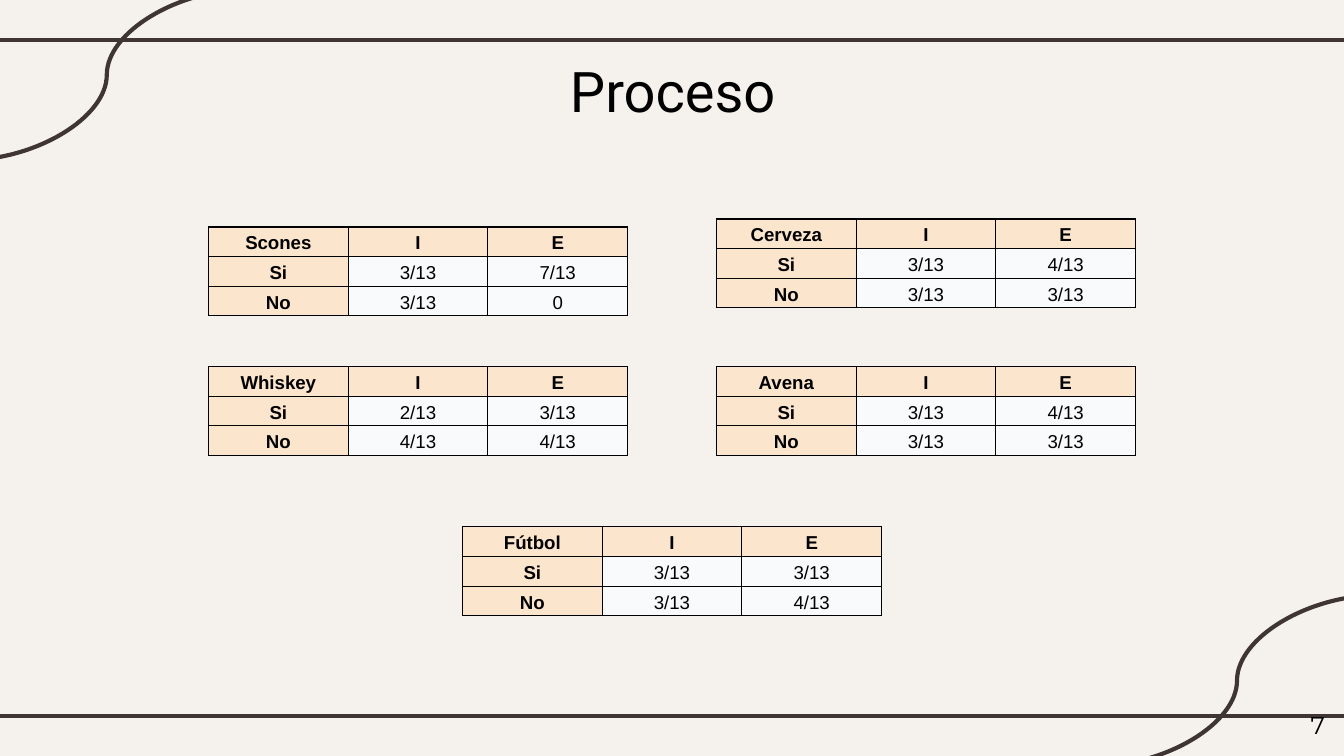
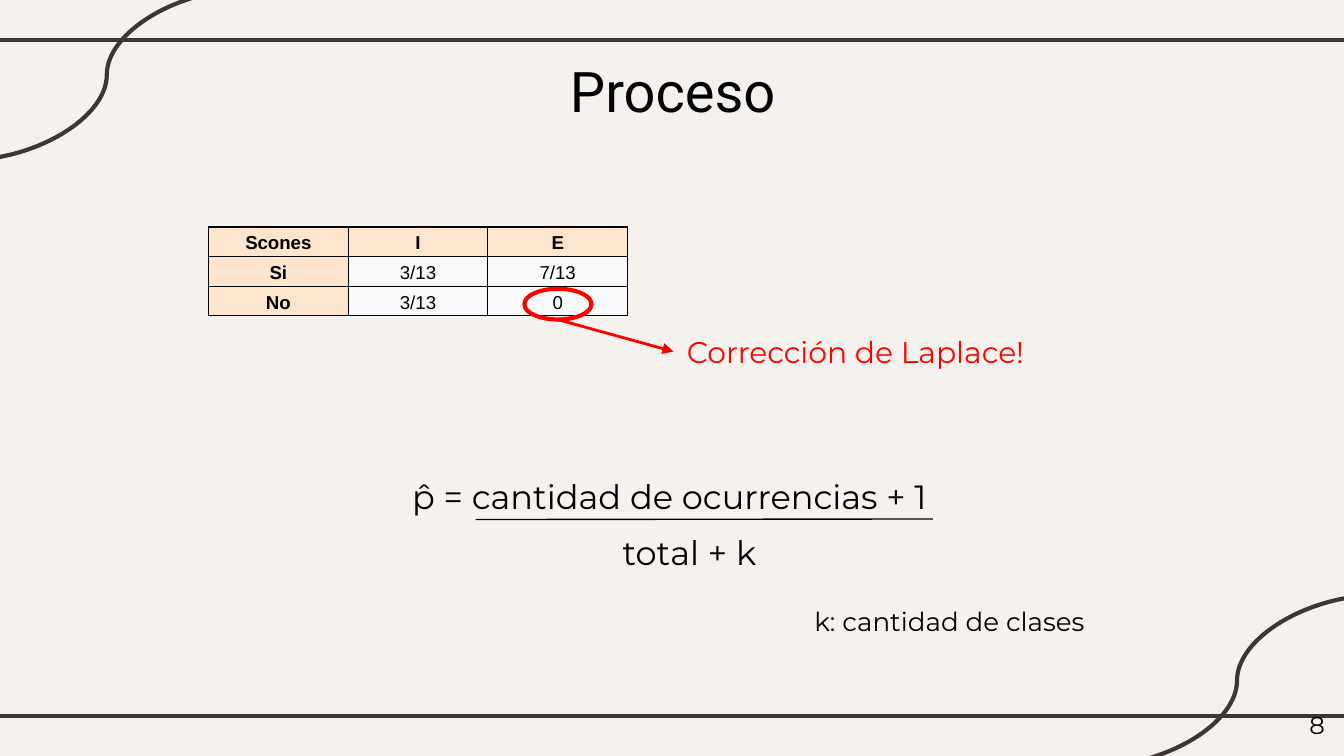
from lxml.etree import SubElement
from pptx import Presentation
from pptx.dml.color import RGBColor
from pptx.enum.shapes import MSO_CONNECTOR, MSO_SHAPE
from pptx.enum.text import MSO_ANCHOR, MSO_AUTO_SIZE, PP_ALIGN
from pptx.oxml.ns import qn
from pptx.util import Cm, Pt

BACKGROUND = RGBColor(0xF5, 0xF2, 0xEE)
BROWN = RGBColor(0x3F, 0x35, 0x33)
BLACK = RGBColor(0, 0, 0)
RED = RGBColor(0xFF, 0, 0)
PEACH = RGBColor(0xFC, 0xE5, 0xCD)
PALE = RGBColor(0xF8, 0xFA, 0xFB)

LEFT, CENTER, RIGHT = PP_ALIGN.LEFT, PP_ALIGN.CENTER, PP_ALIGN.RIGHT
COLUMN_X = (3.94, 13.54)
COL_WIDTH, ROW_HEIGHT = 2.64, 0.56
BOX_INSETS = dict.fromkeys(("left", "right", "top", "bottom"), Cm(0.25))
CELL_INSETS = {"left": Cm(0.08), "right": Cm(0.08),
               "top": Cm(0.05), "bottom": Cm(0.05)}

SCONES = ("Scones", ("3/13", "7/13"), ("3/13", "0"))
CERVEZA = ("Cerveza", ("3/13", "4/13"), ("3/13", "3/13"))
WHISKEY = ("Whiskey", ("2/13", "3/13"), ("4/13", "4/13"))
AVENA = ("Avena", ("3/13", "4/13"), ("3/13", "3/13"))
FUTBOL = ("Fútbol", ("3/13", "3/13"), ("3/13", "4/13"))
SCONES_Y = 4.29


def set_all(target, values):
    """Set every attribute named in a dict of values."""
    for name, value in values.items():
        setattr(target, name, value)


def set_insets(target, insets):
    """Set the four margins of a text frame or a cell."""
    set_all(target, {f"margin_{side}": size for side, size in insets.items()})


def write(p, text, color=BLACK, align=LEFT, **font):
    """Write one formatted run into a paragraph."""
    p.alignment = align
    r = p.add_run()
    r.text = text
    set_all(r.font, font)
    r.font.color.rgb = color


def add_text(s, text, x, y, w, h, size, color=BLACK, align=LEFT,
             name="Montserrat", anchor=MSO_ANCHOR.TOP):
    """Add a one-line text box."""
    sp = s.shapes.add_textbox(Cm(x), Cm(y), Cm(w), Cm(h))
    tf = sp.text_frame
    set_all(tf, {"word_wrap": True, "auto_size": MSO_AUTO_SIZE.NONE,
                 "vertical_anchor": anchor})
    set_insets(tf, BOX_INSETS)
    write(tf.paragraphs[0], text, color, align, size=Pt(size), name=name)
    return sp


def add_line(s, x1, y1, x2, y2, color, width, kind=MSO_CONNECTOR.STRAIGHT):
    """Add a connector without a shadow."""
    line = s.shapes.add_connector(kind, Cm(x1), Cm(y1), Cm(x2), Cm(y2))
    line.line.color.rgb = color
    line.line.width = Pt(width)
    SubElement(line._element.spPr, qn("a:effectLst"))
    return line


def add_arrowhead(line):
    """Put a triangle at the end of a connector."""
    SubElement(line.line._get_or_add_ln(), qn("a:tailEnd"), type="triangle")


def add_ring(s, x, y, w, h):
    """Add an unfilled red ellipse."""
    ring = s.shapes.add_shape(MSO_SHAPE.OVAL, Cm(x), Cm(y), Cm(w), Cm(h))
    ring.shadow.inherit = False
    ring.fill.background()
    ring.line.color.rgb = RED
    ring.line.width = Pt(2.25)


def add_borders(cell):
    """Draw a thin black border on all sides of a cell."""
    tc_pr = cell._tc.get_or_add_tcPr()
    for side in ("a:lnL", "a:lnR", "a:lnT", "a:lnB"):
        ln = SubElement(tc_pr, qn(side), w=str(Pt(0.67)))
        SubElement(SubElement(ln, qn("a:solidFill")), qn("a:srgbClr"), val=str(BLACK))


def add_frequencies(s, data, x, y):
    """Add the table of frequencies of one food or hobby."""
    name, yes, no = data
    rows = ((name, "I", "E"), ("Si", *yes), ("No", *no))
    table = s.shapes.add_table(3, 3, Cm(x), Cm(y), Cm(3 * COL_WIDTH),
                               Cm(3 * ROW_HEIGHT)).table
    set_all(table, {"first_row": False, "horz_banding": False})
    for i, row in enumerate(rows):
        table.rows[i].height = Cm(ROW_HEIGHT)
        table.columns[i].width = Cm(COL_WIDTH)
        for j, text in enumerate(row):
            header = i == 0 or j == 0
            cell = table.cell(i, j)
            add_borders(cell)
            cell.fill.solid()
            cell.fill.fore_color.rgb = PEACH if header else PALE
            cell.vertical_anchor = MSO_ANCHOR.BOTTOM
            set_insets(cell, CELL_INSETS)
            p = cell.text_frame.paragraphs[0]
            p.line_spacing = 1.15
            write(p, text, align=CENTER, size=Pt(10), name="Arial", bold=header)


def add_slide(prs, number):
    """Add a slide with the shared lines, title and page number."""
    s = prs.slides.add_slide(prs.slide_layouts[6])
    s.background.fill.solid()
    s.background.fill.fore_color.rgb = BACKGROUND
    for y in (0.76, 13.54):
        add_line(s, -0.2, y, 25.6, y, BROWN, 2.25)
    for x, y in ((26.06, 11.25), (4.7, -0.2)):
        add_line(s, x, y, x - 5.36, y + 3.23, BROWN, 2.25, MSO_CONNECTOR.CURVE)
    add_text(s, "Proceso", 6.71, 1.02, 12.01, 1.37, 30, align=CENTER,
             name="Roboto", anchor=MSO_ANCHOR.MIDDLE)
    add_text(s, str(number), 23.77, 13.18, 1.52, 1.09, 13, align=RIGHT)
    return s


def add_tables_slide(prs):
    """Show the five frequency tables."""
    s = add_slide(prs, 7)
    left, right = COLUMN_X
    for data, x, y in ((SCONES, left, SCONES_Y), (CERVEZA, right, 4.14),
                       (WHISKEY, left, 6.93), (AVENA, right, 6.93),
                       (FUTBOL, (left + right) / 2, 9.96)):
        add_frequencies(s, data, x, y)


def add_laplace_slide(prs):
    """Show the zero frequency and the Laplace correction."""
    s = add_slide(prs, 8)
    add_frequencies(s, SCONES, COLUMN_X[0], SCONES_Y)
    add_ring(s, 9.91, 5.46, 1.27, 0.58)
    label = add_text(s, "Corrección de Laplace!", 12.73, 6.05, 7.92, 1.19, 16, RED)
    arrow = add_line(s, 10.54, 6.04, 12.73, 6.64, RED, 1.5)
    arrow.end_connect(label, 1)
    add_arrowhead(arrow)
    add_text(s, "p̂ = cantidad de ocurrencias + 1", 7.54, 8.74, 10.34, 1.27, 18)
    add_line(s, 8.99, 9.82, 17.63, 9.81, BLACK, 0.75)
    add_text(s, "total + k", 11.23, 9.81, 3.6, 1.12, 18, align=CENTER)
    add_text(s, "k: cantidad de clases", 15.14, 11.2, 6.12, 1.12, 14)


def main():
    """Build and save the presentation."""
    prs = Presentation()
    set_all(prs, {"slide_width": Cm(25.4), "slide_height": Cm(14.29)})
    add_tables_slide(prs)
    add_laplace_slide(prs)
    prs.save("out.pptx")


if __name__ == "__main__":
    main()
